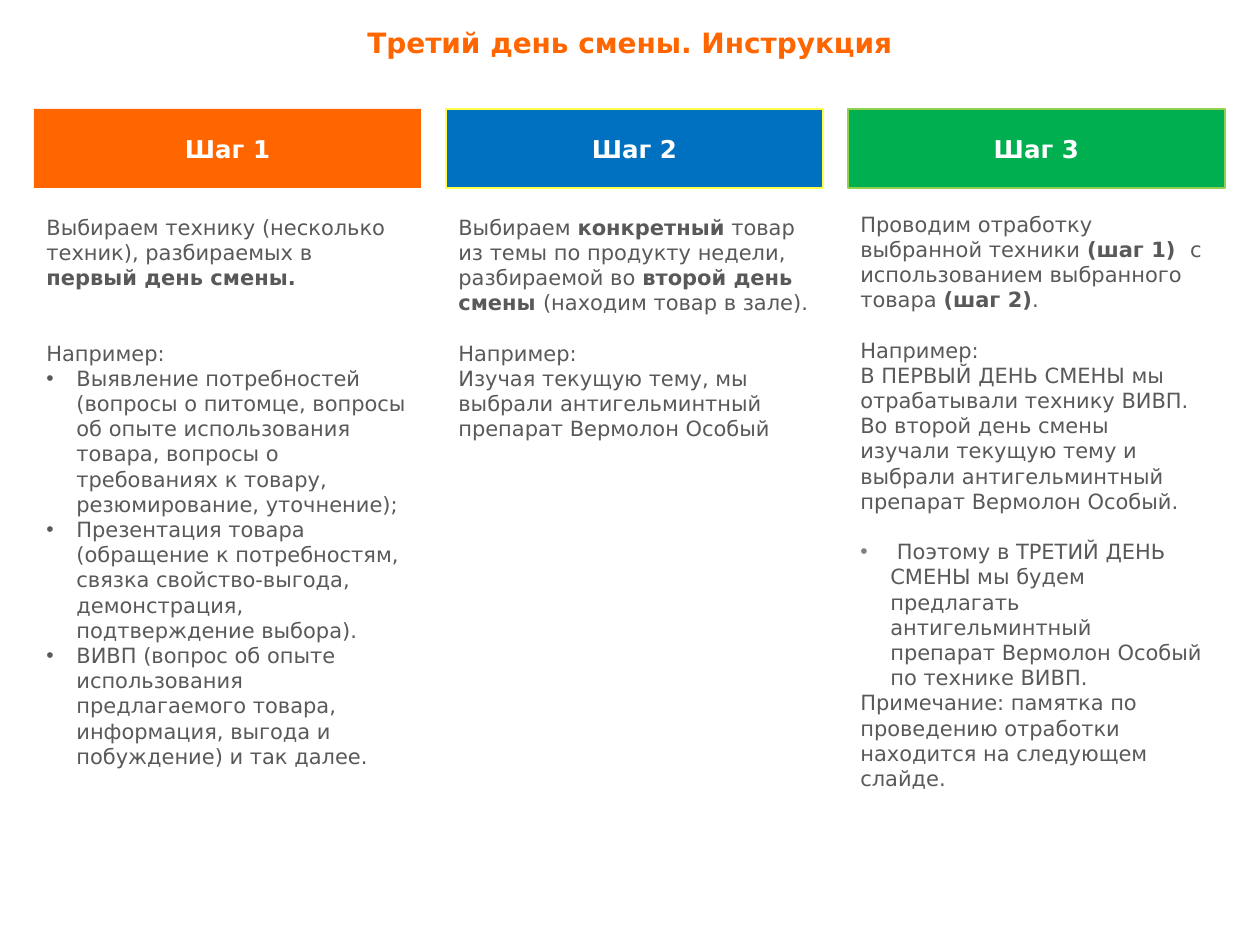
from lxml.etree import SubElement
from pptx import Presentation
from pptx.dml.color import RGBColor
from pptx.enum.shapes import MSO_SHAPE
from pptx.enum.text import MSO_ANCHOR, MSO_AUTO_SIZE, PP_ALIGN
from pptx.oxml.ns import qn
from pptx.util import Pt

PX = 914400 // 126
FONT = "DejaVu Sans"
GREY = "595959"
LINE_PITCH = 14.4
HANG = 30 * PX


def color(value):
    return RGBColor.from_string(value)


def style(span, size, value, bold):
    span.font.name = FONT
    span.font.size = Pt(size)
    span.font.bold = bold
    span.font.color.rgb = color(value)


# Each step: left, header width, fill, line, text top, text width, text height,
# then paragraphs as (lines of space before, bullet colour, text with **bold**)
steps = [
    (34, 387, "FF6600", None, 208, 387, 625, [
        (0, None, "Выбираем технику (несколько техник), разбираемых в **первый день смены.**"),
        (2, None, "Например:"),
        (0, GREY, "Выявление потребностей (вопросы о питомце, вопросы об опыте использования "
                  "товара, вопросы о требованиях к товару, резюмирование, уточнение);"),
        (0, GREY, "Презентация товара (обращение к потребностям, связка свойство-выгода, "
                  "демонстрация, подтверждение выбора)."),
        (0, GREY, "ВИВП (вопрос об опыте использования предлагаемого товара, информация, "
                  "выгода и побуждение) и так далее."),
    ]),
    (446, 377, "0070C0", "FFFF47", 208, 377, 377, [
        (0, None, "Выбираем **конкретный** товар из темы по продукту недели, разбираемой во "
                  "**второй день смены **(находим товар в зале)."),
        (1, None, "Например:"),
        (0, None, "Изучая текущую тему, мы выбрали антигельминтный препарат Вермолон Особый"),
    ]),
    (848, 377, "00B050", "92D050", 205, 367, 625, [
        (0, None, "Проводим отработку выбранной техники **(шаг 1)  **с использованием "
                  "выбранного товара **(шаг 2)**."),
        (1, None, "Например:"),
        (0, None, "В ПЕРВЫЙ ДЕНЬ СМЕНЫ мы отрабатывали технику ВИВП. Во второй день смены "
                  "изучали текущую тему и выбрали антигельминтный препарат Вермолон Особый."),
        (1, "808080", " Поэтому в ТРЕТИЙ ДЕНЬ СМЕНЫ мы будем предлагать антигельминтный "
                      "препарат Вермолон Особый по технике ВИВП."),
        (0, None, "Примечание: памятка по проведению отработки находится на следующем слайде."),
    ]),
]

deck = Presentation()
deck.slide_width, deck.slide_height = 1260 * PX, 945 * PX
page = deck.slides.add_slide(deck.slide_layouts[5])

# Title
title = page.shapes.title
title.left, title.top, title.width, title.height = 0, 19 * PX, 1260 * PX, 47 * PX
title.text_frame.text = "Третий день смены. Инструкция"
title.text_frame.vertical_anchor = MSO_ANCHOR.TOP
title.text_frame.auto_size = MSO_AUTO_SIZE.SHAPE_TO_FIT_TEXT
para = title.text_frame.paragraphs[0]
para.alignment = PP_ALIGN.CENTER
style(para.runs[0], 16, "FF6600", True)

for number, (left, width, fill, line, top, text_width, text_height, paragraphs) in enumerate(steps, 1):
    # Step header
    header = page.shapes.add_shape(MSO_SHAPE.RECTANGLE, left * PX, 109 * PX, width * PX, 79 * PX)
    header.shadow.inherit = False
    header.fill.solid()
    header.fill.fore_color.rgb = color(fill)
    if line:
        header.line.color.rgb = color(line)
        header.line.width = Pt(0.75)
    else:
        header.line.fill.background()
    header.text_frame.text = f"Шаг {number}"
    header.text_frame.vertical_anchor = MSO_ANCHOR.MIDDLE
    para = header.text_frame.paragraphs[0]
    para.alignment = PP_ALIGN.CENTER
    style(para.runs[0], 14, "FFFFFF", True)

    # Step instructions
    box = page.shapes.add_textbox(left * PX, top * PX, text_width * PX, text_height * PX)
    frame = box.text_frame
    frame.word_wrap = True
    for index, (gap, bullet, text) in enumerate(paragraphs):
        para = frame.add_paragraph() if index else frame.paragraphs[0]
        para.space_before = Pt(gap * LINE_PITCH)
        if bullet:
            props = para._p.get_or_add_pPr()
            props.set("marL", str(HANG))
            props.set("indent", str(-HANG))
            bullet_color = SubElement(props, qn("a:buClr"))
            SubElement(bullet_color, qn("a:srgbClr"), val=bullet)
            SubElement(props, qn("a:buFont"), typeface="Arial")
            SubElement(props, qn("a:buChar"), char="•")
        for part, words in enumerate(text.split("**")):
            if words:
                span = para.add_run()
                span.text = words
                style(span, 12, GREY, part % 2 == 1)

deck.save("out.pptx")
